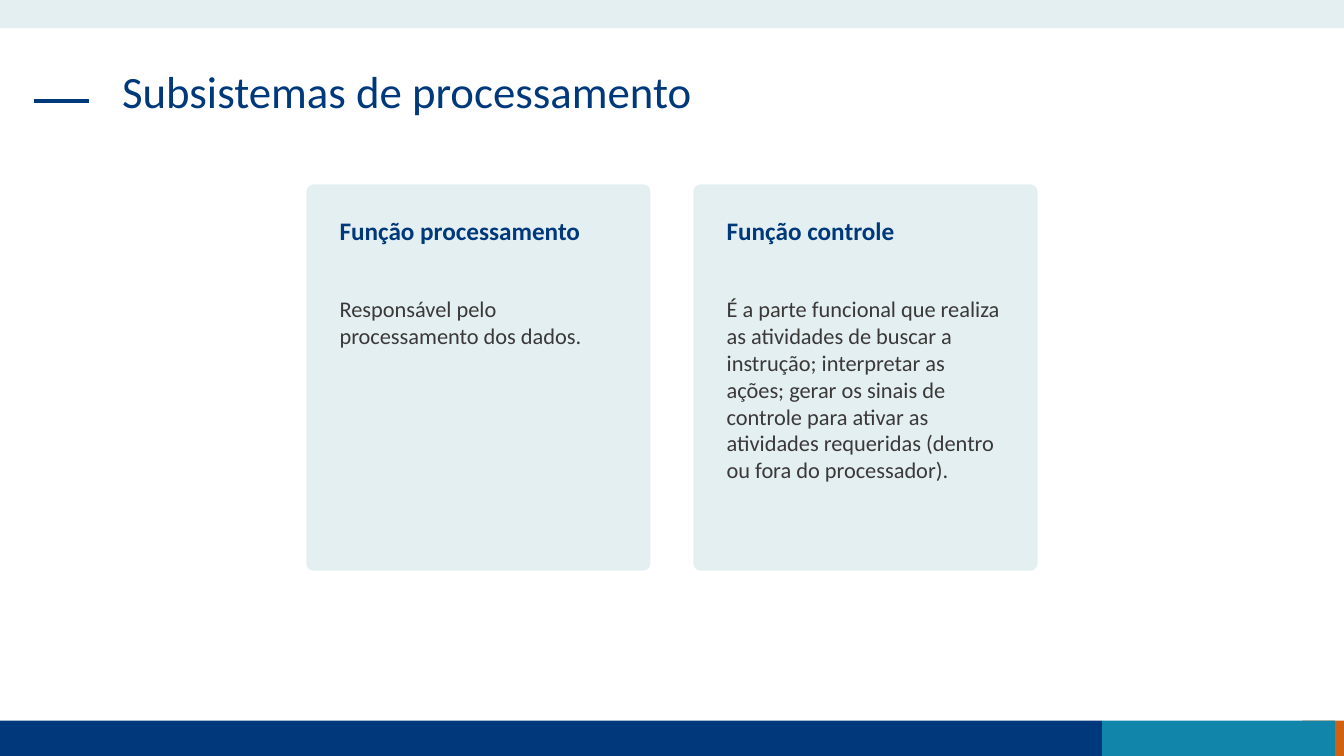
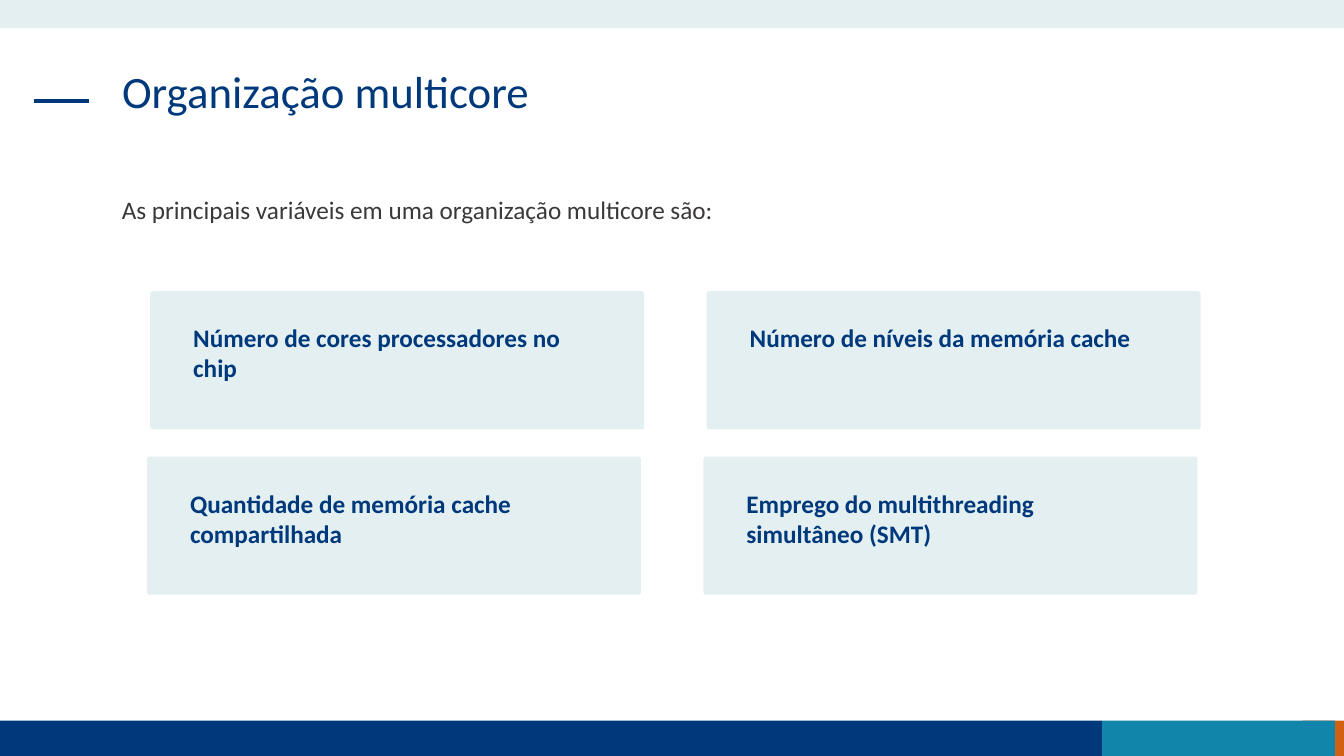
import pptx
import pptx.dml.color
import pptx.enum.shapes
import pptx.enum.text
import pptx.oxml.ns
import pptx.util
from lxml import etree

COLORS = {"navy": "00397B", "teal": "1185AA", "orange": "D06110",
          "mist": "E3EFF1", "ink": "3B3838"}
FONT = "Calibri"
TITLE_ONLY = 5
BANDS = [(96.9, 95.33, 3.1, 4.67, "orange"), (0, 95.33, 82, 4.67, "navy"),
         (82, 95.33, 17.32, 4.67, "teal"), (0, 0, 100, 3.73, "mist")]
HEADING_TOP = 3.47
BODY_TOP = 14
LINE_HEIGHT = 1.22
SHAPES = pptx.enum.shapes.MSO_SHAPE


def rgb(name):
    return pptx.dml.color.RGBColor.from_string(COLORS[name])


class Deck:
    """Holds the style and the current slide; lengths are percent of the slide's size."""

    def __init__(self):
        self.presentation = pptx.Presentation()
        self.presentation.slide_width = pptx.util.Inches(13.33)
        self.presentation.slide_height = pptx.util.Inches(7.5)
        self.slide = None

    def across(self, share):
        return round(self.presentation.slide_width * share / 100)

    def down(self, share):
        return round(self.presentation.slide_height * share / 100)

    def place(self, left, top, width, height):
        return (self.across(left), self.down(top), self.across(width), self.down(height))

    def format(self, paragraph, size, color, bold=False):
        paragraph.alignment = pptx.enum.text.PP_ALIGN.LEFT
        font = paragraph.font
        font.name, font.size, font.bold = FONT, pptx.util.Pt(size), bold
        font.color.rgb = rgb(color)

    def add_slide(self, title):
        layout = self.presentation.slide_layouts[TITLE_ONLY]
        self.slide = self.presentation.slides.add_slide(layout)
        for *box, color in BANDS:
            self.block(SHAPES.RECTANGLE, box, color)
        self.rule(2.5, 6.6, 13.33)
        self.title(title)

    def title(self, text):
        shape = self.slide.shapes.title
        shape.left, shape.top, shape.width, shape.height = self.place(8.33, 8.53, 83.25, 12.53)
        frame = shape.text_frame
        frame.text = text
        frame.vertical_anchor = pptx.enum.text.MSO_ANCHOR.TOP
        frame.auto_size = pptx.enum.text.MSO_AUTO_SIZE.NONE
        paragraph = frame.paragraphs[0]
        paragraph.line_spacing = 0.9
        self.format(paragraph, 32, "navy")

    def rule(self, start, end, top):
        line = self.slide.shapes.add_connector(
            pptx.enum.shapes.MSO_CONNECTOR.STRAIGHT,
            self.across(start), self.down(top), self.across(end), self.down(top))
        line.line.color.rgb = rgb("navy")
        line.line.width = pptx.util.Pt(3)
        etree.SubElement(line._element.spPr, pptx.oxml.ns.qn("a:effectLst"))

    def block(self, kind, box, color):
        shape = self.slide.shapes.add_shape(kind, *self.place(*box))
        shape.shadow.inherit = False
        shape.fill.solid()
        shape.fill.fore_color.rgb = rgb(color)
        shape.line.fill.background()
        return shape

    def text(self, text, left, top, width, size, color, bold=False, lines=1):
        height = pptx.util.Inches(0.1) + pptx.util.Pt(lines * size * LINE_HEIGHT)
        box = self.slide.shapes.add_textbox(
            self.across(left), self.down(top), self.across(width), height)
        frame = box.text_frame
        frame.word_wrap = True
        frame.text = text
        self.format(frame.paragraphs[0], size, color, bold)

    def card(self, box, inset, heading, heading_lines=1, body=None, body_lines=1):
        left, top, width, _ = box
        shape = self.block(SHAPES.ROUNDED_RECTANGLE, box, "mist")
        shape.adjustments[0] = 0.02
        left, width = left + inset, width - 2 * inset
        self.text(heading, left, top + HEADING_TOP, width, 18, "navy", True, heading_lines)
        if body:
            self.text(body, left, top + BODY_TOP, width, 16, "ink", lines=body_lines)


def add_subsystems(deck):
    deck.add_slide("Subsistemas de processamento")
    functions = [
        ("Função processamento", "Responsável pelo processamento dos dados.", 2),
        ("Função controle",
         "É a parte funcional que realiza as atividades de buscar a instrução; "
         "interpretar as ações; gerar os sinais de controle para ativar as atividades "
         "requeridas (dentro ou fora do processador).", 7),
    ]
    for column, (heading, body, lines) in enumerate(functions):
        deck.card((22.8 + 28.8 * column, 24.4, 25.6, 51.07), 1.73, heading,
                  body=body, body_lines=lines)


def add_multicore(deck):
    deck.add_slide("Organização multicore")
    deck.text("As principais variáveis em uma organização multicore são:",
              8.33, 25.07, 84.5, 18, "ink")
    variables = [("Número de cores processadores no chip", 2),
                 ("Número de níveis da memória cache", 1),
                 ("Quantidade de memória cache compartilhada", 2),
                 ("Emprego do multithreading simultâneo (SMT)", 2)]
    for index, (heading, lines) in enumerate(variables):
        row, column = divmod(index, 2)
        box = (11.18 + 41.4 * column - 0.24 * row, 38.53 + 21.87 * row, 36.75, 18.27)
        deck.card(box, 2.46, heading, lines)


def main():
    deck = Deck()
    add_subsystems(deck)
    add_multicore(deck)
    deck.presentation.save("out.pptx")


if __name__ == "__main__":
    main()
